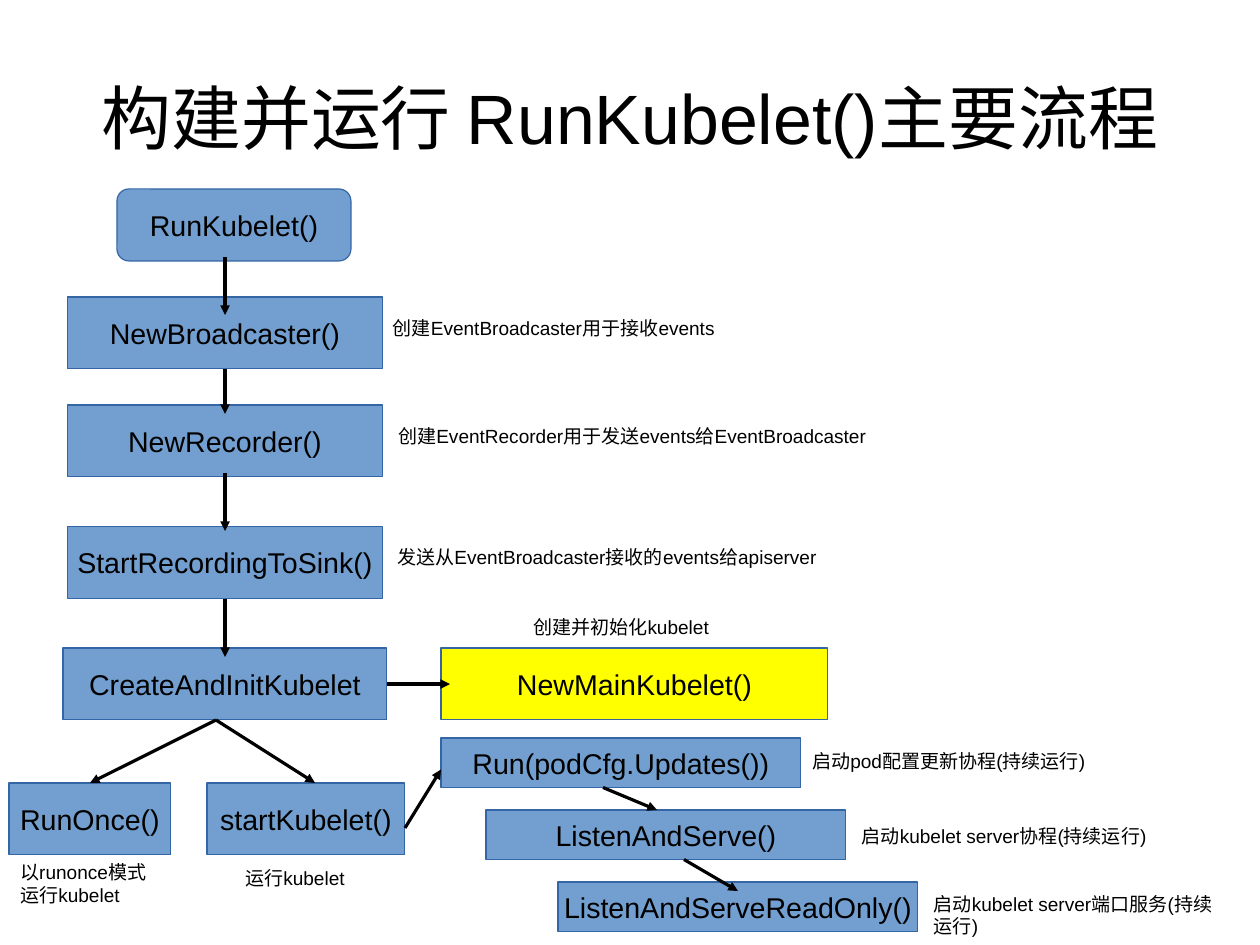
from dataclasses import dataclass

from lxml.etree import SubElement
from pptx import Presentation
from pptx.dml.color import RGBColor
from pptx.enum.shapes import MSO_CONNECTOR, MSO_SHAPE
from pptx.enum.text import MSO_ANCHOR, PP_ALIGN
from pptx.oxml.ns import qn
from pptx.util import Cm, Pt


@dataclass(frozen=True)
class Theme:
    font: str = "Arial"
    title_size: int = 44
    step_size: int = 18
    note_size: int = 12
    ink: str = "000000"
    step_fill: str = "729FCF"
    highlight: str = "FFFF00"
    outline: str = "3465A4"
    hairline: int = 0


THEME = Theme()
SPINE_X = 5
STEP_HEIGHT = 1.6
SERVICE_HEIGHT = 1.1
NOTE_HEIGHT = 0.86

# Lengths in centimetres: label, left, top, width
STEPS = [
    ("NewBroadcaster()", 1.5, 6.6, 7),
    ("NewRecorder()", 1.5, 9, 7),
    ("StartRecordingToSink()", 1.5, 11.7, 7),
    ("CreateAndInitKubelet", 1.4, 14.4, 7.2),
    ("RunOnce()", 0.2, 17.4, 3.6),
    ("startKubelet()", 4.6, 17.4, 4.4),
]
SERVICES = [
    ("Run(podCfg.Updates())", 9.8),
    ("ListenAndServe()", 10.8),
    ("ListenAndServeReadOnly()", 12.4),
]
NOTES = [
    ("创建EventBroadcaster用于接收events", 8.48, 6.9, 8.3),
    ("创建EventRecorder用于发送events给EventBroadcaster", 8.6, 9.3, 12.2),
    ("发送从EventBroadcaster接收的events给apiserver", 8.58, 12, 10.6),
    ("创建并初始化kubelet", 11.6, 13.55, 4.8),
    ("以runonce模式运行kubelet", 0.2, 19, 3.6),
    ("运行kubelet", 5.2, 19.13, 3.1),
    ("启动pod配置更新协程(持续运行)", 17.8, 16.54, 7.8),
    ("启动kubelet server协程(持续运行)", 18.9, 18.2, 7.8),
    ("启动kubelet server端口服务(持续运行)", 20.5, 19.7, 7.1),
]
SPINE_ARROWS = [(5.7, 7), (8.2, 9.2), (10.5, 11.8), (13.3, 14.6)]
BRANCH_ARROWS = [
    (4.8, 16, 2, 17.4),
    (4.8, 16, 7, 17.4),
    (9, 18.4, 9.8, 17.1),
    (13.4, 17.5, 14.6, 18),
    (15.2, 19.1, 16.4, 19.8),
    (8.6, 15.2, 10, 15.2),
]


def color(value):
    return RGBColor.from_string(value)


def write(frame, text, size, align):
    para = frame.paragraphs[0]
    para.alignment = align
    span = para.add_run()
    span.text = text
    span.font.name = THEME.font
    span.font.size = Pt(size)
    span.font.color.rgb = color(THEME.ink)


def add_title(page, text):
    box = page.shapes.add_textbox(Cm(1.4), Cm(0.84), Cm(25.2), Cm(3.5))
    frame = box.text_frame
    frame.word_wrap = True
    frame.vertical_anchor = MSO_ANCHOR.MIDDLE
    frame.margin_left = frame.margin_right = Cm(0)
    frame.margin_top = frame.margin_bottom = Cm(0)
    write(frame, text, THEME.title_size, PP_ALIGN.CENTER)


def add_step(page, text, left, top, width, height=STEP_HEIGHT,
             fill=THEME.step_fill, preset=MSO_SHAPE.RECTANGLE):
    box = page.shapes.add_shape(preset, Cm(left), Cm(top), Cm(width), Cm(height))
    box.shadow.inherit = False
    box.fill.solid()
    box.fill.fore_color.rgb = color(fill)
    box.line.color.rgb = color(THEME.outline)
    box.line.width = Pt(THEME.hairline)
    box.text_frame.word_wrap = False
    box.text_frame.vertical_anchor = MSO_ANCHOR.MIDDLE
    write(box.text_frame, text, THEME.step_size, PP_ALIGN.CENTER)


def add_note(page, text, left, top, width):
    box = page.shapes.add_textbox(Cm(left), Cm(top), Cm(width), Cm(NOTE_HEIGHT))
    box.text_frame.word_wrap = True
    write(box.text_frame, text, THEME.note_size, PP_ALIGN.LEFT)


def add_arrow(page, *ends):
    arrow = page.shapes.add_connector(MSO_CONNECTOR.STRAIGHT, *map(Cm, ends))
    arrow.line.color.rgb = color(THEME.ink)
    arrow.line.width = Pt(THEME.hairline)
    SubElement(arrow.line._get_or_add_ln(), qn("a:tailEnd"), type="triangle")
    SubElement(arrow._element.spPr, qn("a:effectLst"))


def main():
    deck = Presentation()
    deck.slide_width, deck.slide_height = Cm(28), Cm(21)
    page = deck.slides.add_slide(deck.slide_layouts[6])

    add_title(page, "构建并运行 RunKubelet()主要流程")
    add_step(page, "RunKubelet()", 2.6, 4.2, 5.2, preset=MSO_SHAPE.ROUNDED_RECTANGLE)
    for step in STEPS:
        add_step(page, *step)
    add_step(page, "NewMainKubelet()", 9.8, 14.4, 8.6, fill=THEME.highlight)
    for index, (label, left) in enumerate(SERVICES):
        add_step(page, label, left, 16.4 + 1.6 * index, 8, SERVICE_HEIGHT)

    for note in NOTES:
        add_note(page, *note)
    for start, end in SPINE_ARROWS:
        add_arrow(page, SPINE_X, start, SPINE_X, end)
    for ends in BRANCH_ARROWS:
        add_arrow(page, *ends)

    deck.save("out.pptx")


if __name__ == "__main__":
    main()
